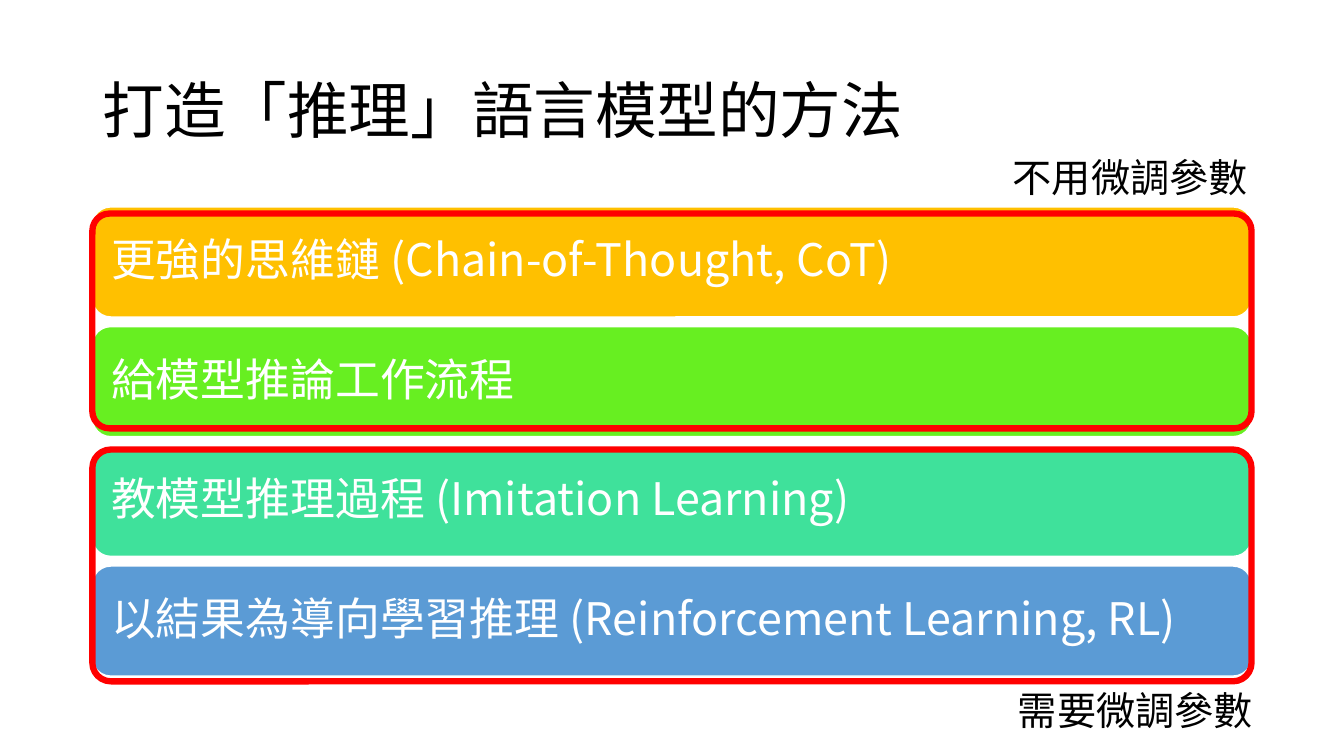
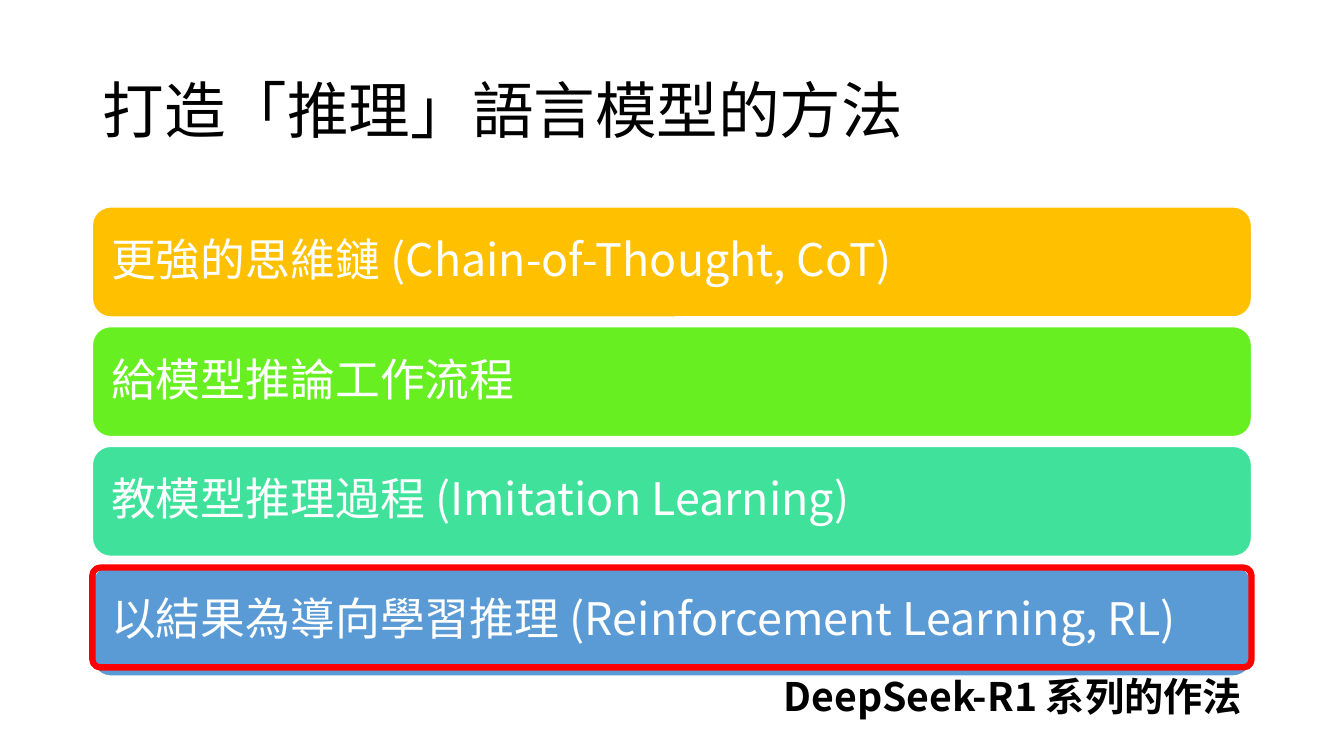
import pptx
import pptx.dml.color
import pptx.enum.shapes
import pptx.enum.text
import pptx.oxml
import pptx.oxml.ns
import pptx.util

Pt = pptx.util.Pt
ALIGN = pptx.enum.text.PP_ALIGN
ANCHOR = pptx.enum.text.MSO_ANCHOR

COLORS = {
    "text": "000000",
    "white": "FFFFFF",
    "amber": "FFC000",
    "green": "67EF21",
    "mint": "3FE19B",
    "blue": "5B9BD5",
    "highlight": "FF0000",
}
FONT = "Noto Sans CJK SC"
LEFT, WIDTH = 66, 828
BAR_TOP, BAR_HEIGHT, BAR_PITCH = 147.8, 78.6, 85.5

TITLE = "打造「推理」語言模型的方法"
METHODS = [
    ("更強的思維鏈 (Chain-of-Thought, CoT)", "amber"),
    ("給模型推論工作流程", "green"),
    ("教模型推理過程 (Imitation Learning)", "mint"),
    ("以結果為導向學習推理 (Reinforcement Learning, RL)", "blue"),
]


def rgb(name):
    return pptx.dml.color.RGBColor.from_string(COLORS[name])


class Deck:
    def __init__(self):
        self.presentation = pptx.Presentation()
        self.presentation.slide_width = Pt(960)
        self.presentation.slide_height = Pt(540)
        self.slide = None

    def set_text(self, frame, text, size, color="text", align=ALIGN.LEFT, bold=False, spacing=None):
        frame.word_wrap = True
        paragraph = frame.paragraphs[0]
        paragraph.text = text
        paragraph.alignment = align
        paragraph.line_spacing = spacing
        font = paragraph.font
        font.name = FONT
        font.size = Pt(size)
        font.bold = bold
        font.color.rgb = rgb(color)
        properties = paragraph._p.get_or_add_pPr().find(pptx.oxml.ns.qn("a:defRPr"))
        east_asian = pptx.oxml.parse_xml(
            f'<a:ea {pptx.oxml.ns.nsdecls("a")} typeface="{FONT}"/>'
        )
        properties.find(pptx.oxml.ns.qn("a:latin")).addnext(east_asian)

    def add_slide(self, title):
        self.slide = self.presentation.slides.add_slide(self.presentation.slide_layouts[5])
        shape = self.slide.shapes.title
        shape.left, shape.top, shape.width, shape.height = Pt(LEFT), Pt(28.8), Pt(WIDTH), Pt(104.4)
        shape.text_frame.vertical_anchor = ANCHOR.MIDDLE
        self.set_text(shape.text_frame, title, 44, spacing=0.9)

    def add_box(self, top, height, line, line_width):
        shape = self.slide.shapes.add_shape(
            pptx.enum.shapes.MSO_SHAPE.ROUNDED_RECTANGLE, Pt(LEFT), Pt(top), Pt(WIDTH), Pt(height)
        )
        shape.shadow.inherit = False
        shape.line.color.rgb = rgb(line)
        shape.line.width = Pt(line_width)
        return shape

    def add_bars(self, methods):
        for index, (text, color) in enumerate(methods):
            shape = self.add_box(BAR_TOP + index * BAR_PITCH, BAR_HEIGHT, "white", 1)
            shape.fill.solid()
            shape.fill.fore_color.rgb = rgb(color)
            frame = shape.text_frame
            frame.margin_left = frame.margin_right = Pt(9.6)
            frame.vertical_anchor = ANCHOR.MIDDLE
            self.set_text(frame, text, 32, "white", spacing=0.9)

    def add_highlight(self, top, height):
        shape = self.add_box(top, height, "highlight", 4.5)
        shape.adjustments[0] = 0.08
        shape.fill.background()

    def add_label(self, text, left, top, width, height=41, **style):
        box = self.slide.shapes.add_textbox(Pt(left), Pt(top), Pt(width), Pt(height))
        self.set_text(box.text_frame, text, 28, **style)


def main():
    deck = Deck()

    deck.add_slide(TITLE)
    deck.add_bars(METHODS)
    deck.add_label("不用微調參數", 716.4, 105.8, 196)
    deck.add_label("需要微調參數", 720, 486.7, 185)
    deck.add_highlight(152.6, 153.4)
    deck.add_highlight(321.1, 165.6)

    deck.add_slide(TITLE)
    deck.add_bars(METHODS)
    deck.add_highlight(405.4, 71.3)
    deck.add_label(
        "DeepSeek-R1 系列的作法", 414, 489.6, 480, 29.5,
        align=ALIGN.RIGHT, bold=True, spacing=Pt(21),
    )

    deck.presentation.save("out.pptx")


if __name__ == "__main__":
    main()
